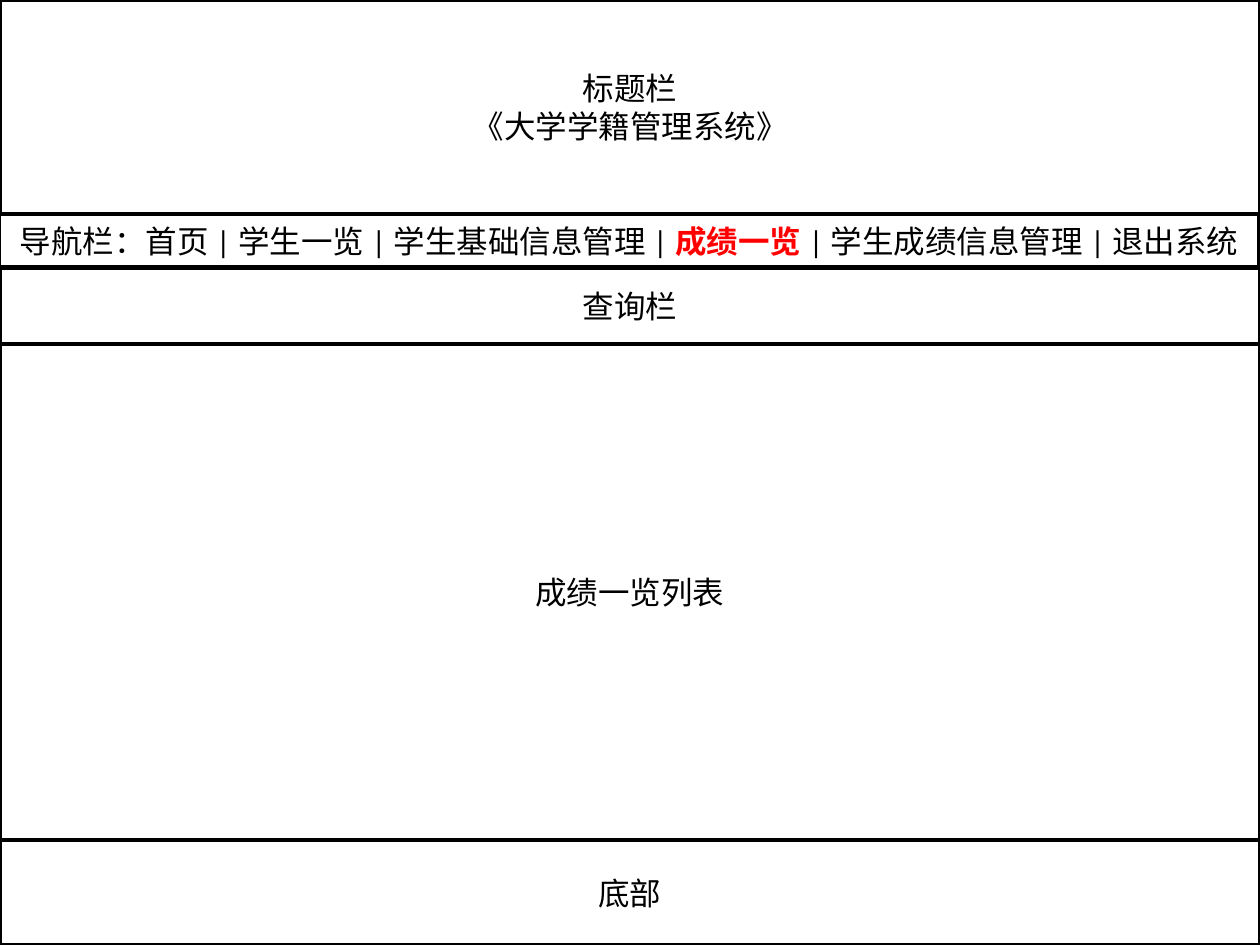
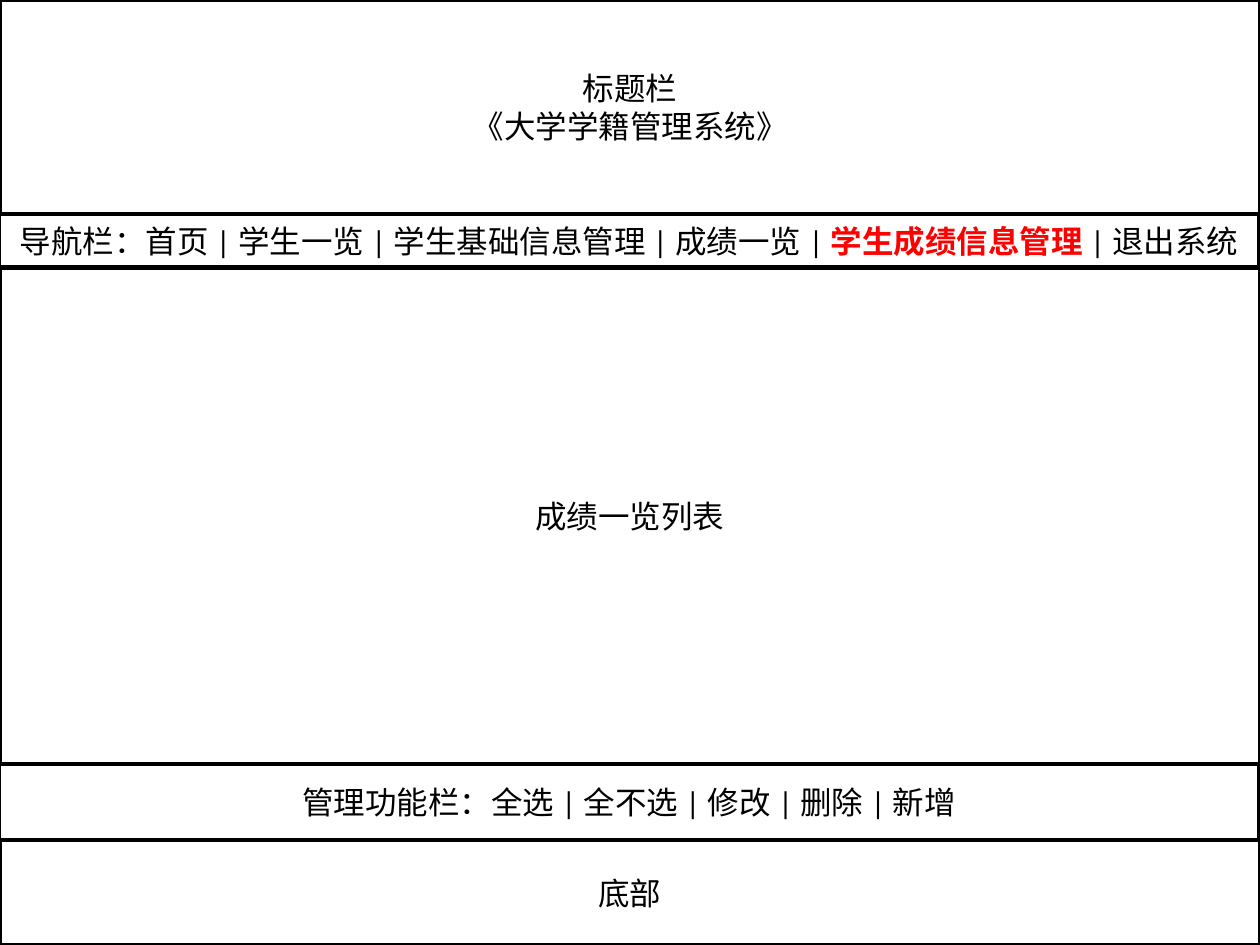
"""Builds two page wireframes of a student records system as stacked full-width bands."""
from dataclasses import dataclass

from pptx import Presentation
from pptx.dml.color import RGBColor as Rgb
from pptx.enum.shapes import MSO_SHAPE as Preset
from pptx.enum.text import MSO_ANCHOR as Anchor, MSO_AUTO_SIZE as AutoSize, PP_ALIGN as Align
from pptx.util import Pt

SYSTEM = ["标题栏", "《大学学籍管理系统》"]
NAVIGATION = ["首页", "学生一览", "学生基础信息管理", "成绩一览", "学生成绩信息管理", "退出系统"]
ACTIONS = ["全选", "全不选", "修改", "删除", "新增"]
PAGES = [
    {"current": "成绩一览", "bands": ["title", "navigation", "query", "list", "footer"]},
    {"current": "学生成绩信息管理", "bands": ["title", "navigation", "list", "actions", "footer"]},
]
BANDS = {
    "title": {"left": 0, "height": 214, "gap": 0},
    "navigation": {"left": -1, "height": 53, "gap": 1},
    "query": {"left": 0, "height": 76, "gap": 0},
    "list": {"left": 0, "height": 496, "gap": 0},
    "actions": {"left": -1, "height": 76, "gap": 0},
    "footer": {"left": 0, "height": 105, "gap": 0},
}
WIDTH, HEIGHT = 1260, 945
TITLE_ONLY = 5


@dataclass(frozen=True)
class Theme:
    """Colours and sizes shared by every band."""
    paper: Rgb = Rgb(255, 255, 255)
    ink: Rgb = Rgb(0, 0, 0)
    accent: Rgb = Rgb(255, 0, 0)
    font: str = "Calibri"
    size: Pt = Pt(18)
    border: Pt = Pt(2)


THEME = Theme()
FRAME_FORMAT = {"word_wrap": True, "auto_size": AutoSize.NONE, "vertical_anchor": Anchor.MIDDLE}


def px(length):
    """Turns pixels into EMU."""
    return round(length * 914400 / 126)


def menu(label, items, current=None):
    """Lists the runs of a menu line, joining plain neighbours around the current item."""
    line = label + "|".join(items)
    if current is None:
        return [(line, False)]
    before, after = label + "|".join(items[:items.index(current)] + [""]), ""
    after = line[len(before) + len(current):]
    return [(before, False), (current, True), (after, False)]


def wording(current):
    """Gives the paragraphs of each band, as lists of (text, highlighted) runs."""
    return {
        "title": [[(line, False)] for line in SYSTEM],
        "navigation": [menu("导航栏：", NAVIGATION, current)],
        "query": [[("查询栏", False)]],
        "list": [[("成绩一览列表", False)]],
        "actions": [menu("管理功能栏：", ACTIONS)],
        "footer": [[("底部", False)]],
    }


def assign(target, values):
    """Sets attributes from a dict of format values."""
    for attribute, value in values.items():
        setattr(target, attribute, value)


def write(frame, paragraphs):
    """Writes centred paragraphs into a band."""
    assign(frame, FRAME_FORMAT)
    for index, runs in enumerate(paragraphs):
        paragraph = frame.add_paragraph() if index else frame.paragraphs[0]
        paragraph.alignment = Align.CENTER
        for text, highlighted in runs:
            run = paragraph.add_run()
            run.text = text
            assign(run.font, {"name": THEME.font, "size": THEME.size, "bold": highlighted})
            run.font.color.rgb = THEME.accent if highlighted else THEME.ink


def draw_band(slide, name, top, paragraphs):
    """Draws one bordered band, using the title placeholder for the title."""
    left, height = BANDS[name]["left"], BANDS[name]["height"]
    place = {"left": px(left), "top": px(top), "width": px(WIDTH), "height": px(height)}
    if name == "title":
        band = slide.shapes.title
        assign(band, place)
    else:
        band = slide.shapes.add_shape(Preset.RECTANGLE, *place.values())
        band.shadow.inherit = False
    band.fill.solid()
    band.fill.fore_color.rgb = THEME.paper
    band.line.color.rgb = THEME.ink
    band.line.width = THEME.border
    write(band.text_frame, paragraphs)


def main():
    """Stacks the bands of each page and saves the deck."""
    deck = Presentation()
    assign(deck, {"slide_width": px(WIDTH), "slide_height": px(HEIGHT)})
    for page in PAGES:
        slide = deck.slides.add_slide(deck.slide_layouts[TITLE_ONLY])
        texts = wording(page["current"])
        top = 0
        for name in page["bands"]:
            draw_band(slide, name, top, texts[name])
            top += BANDS[name]["height"] + BANDS[name]["gap"]
    deck.save("out.pptx")


if __name__ == "__main__":
    main()
